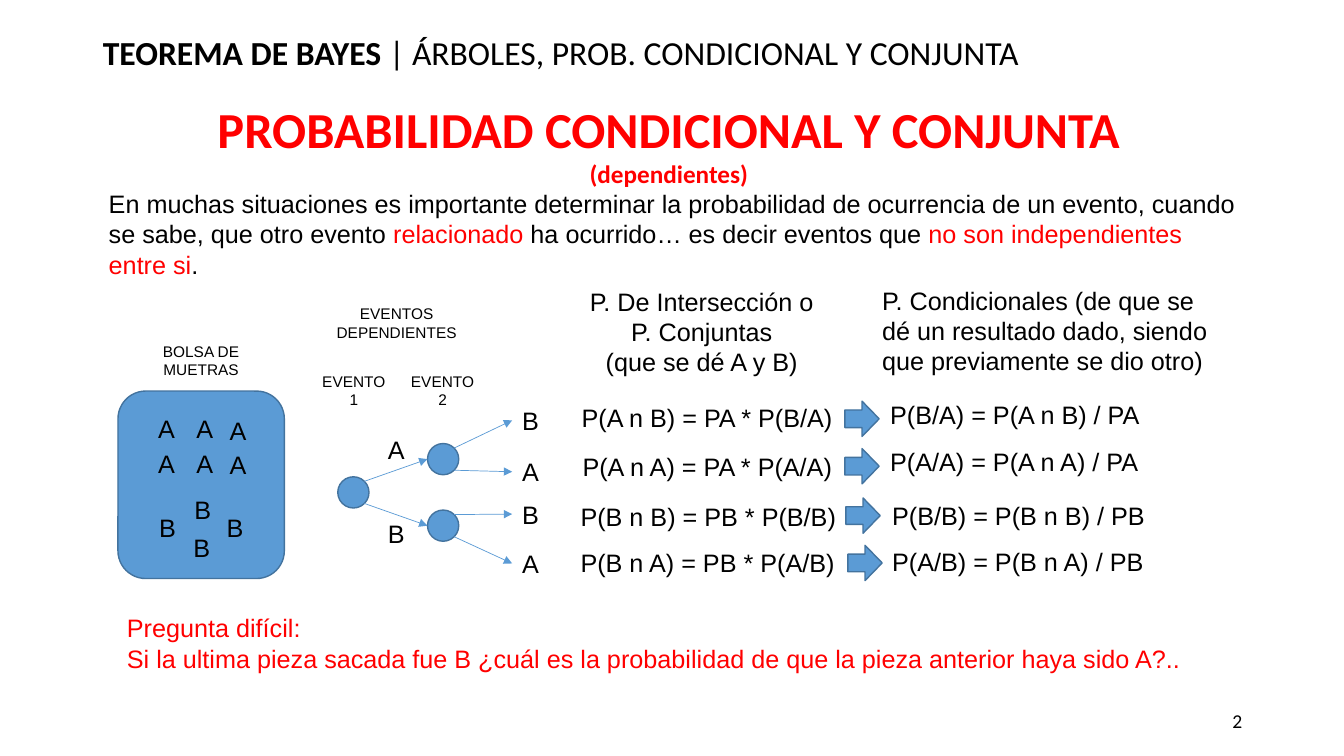
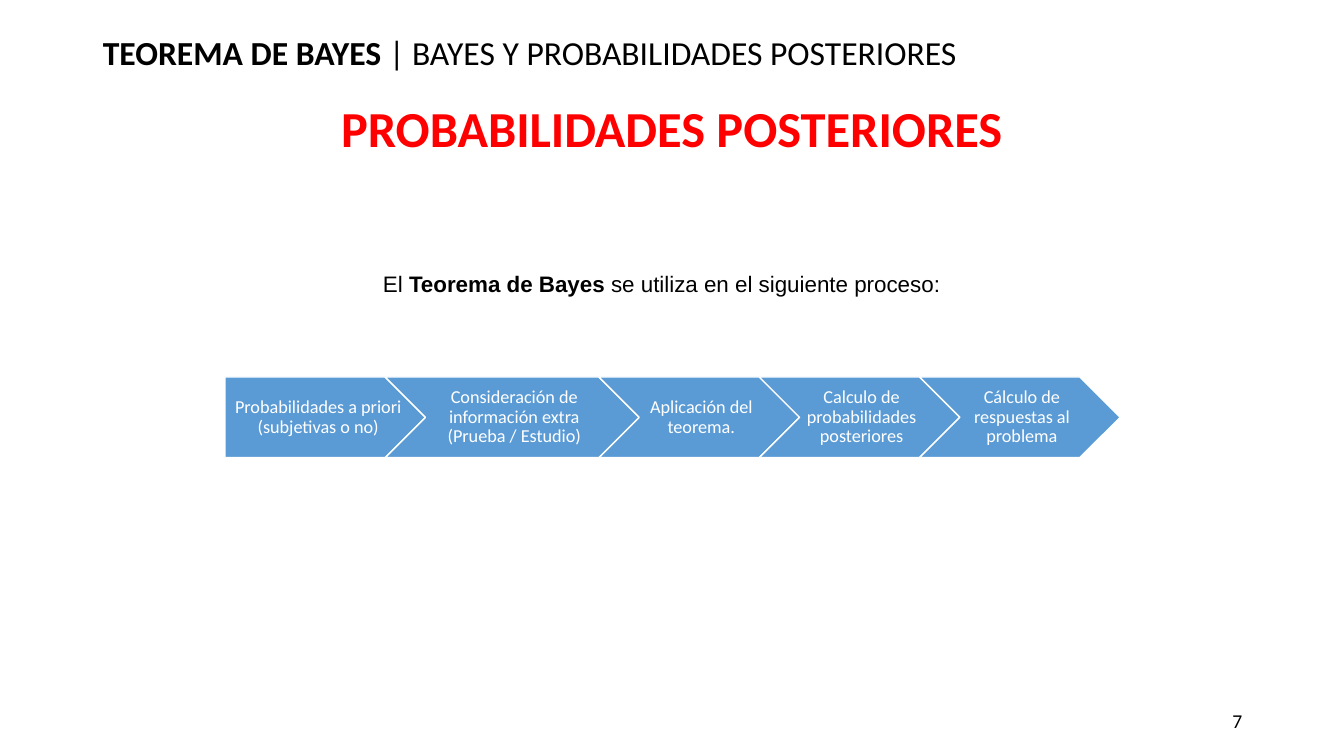
import pptx
import pptx.util
import pptx.dml.color
import pptx.enum.shapes
import pptx.enum.text
import pptx.oxml.ns
from lxml import etree

Inches, Pt = pptx.util.Inches, pptx.util.Pt
RGBColor = pptx.dml.color.RGBColor
SHAPE = pptx.enum.shapes.MSO_SHAPE
ALIGN = pptx.enum.text.PP_ALIGN
ANCHOR = pptx.enum.text.MSO_ANCHOR
qn = pptx.oxml.ns.qn

BLACK = RGBColor(0x00, 0x00, 0x00)
WHITE = RGBColor(0xFF, 0xFF, 0xFF)
RED = RGBColor(0xFF, 0x00, 0x00)
BLUE = RGBColor(0x5B, 0x9B, 0xD5)
DARK_BLUE = RGBColor(0x43, 0x73, 0x9E)

# A text is a list of paragraphs; a paragraph is a string or a list of
# spans; a span is a string or a pair (string, format changes).
COURSE = "TEOREMA DE BAYES "
DEPENDENT = {
    "topic": "| ÁRBOLES, PROB. CONDICIONAL Y CONJUNTA",
    "number": "2",
    "heading": [["PROBABILIDAD CONDICIONAL Y CONJUNTA ", ("(dependientes)", {"size": 18})]],
    "heading_at": (1.77, 0.92, 9.73, 1.04),
}
POSTERIOR = {
    "topic": "| BAYES Y PROBABILIDADES POSTERIORES",
    "number": "7",
    "heading": ["PROBABILIDADES POSTERIORES"],
    "heading_at": (1.8, 0.91, 9.73, 0.7),
}

INTRO = [[
    "En muchas situaciones es importante determinar la probabilidad de ocurrencia "
    "de un evento, cuando se sabe, que otro evento ",
    ("relacionado", {"color": RED}),
    " ha ocurrido… es decir eventos que ",
    ("no son independientes entre si", {"color": RED}),
    ".",
]]
QUESTION = [
    "Pregunta difícil:",
    "Si la ultima pieza sacada fue B ¿cuál es la probabilidad de que la pieza "
    "anterior haya sido A?..",
]
JOINT_HEADING = ["P. De Intersección o P. Conjuntas", "(que se dé A y B)"]
CONDITIONAL_HEADING = [
    "P. Condicionales (de que se dé un resultado dado, siendo que previamente se dio otro)"
]
SMALL_LABELS = [
    (["BOLSA DE MUETRAS"], (1.13, 3.34, 1.73, 0.47)),
    (["EVENTOS DEPENDIENTES"], (3.07, 2.97, 1.73, 0.47)),
    (["EVENTO", "1"], (3.09, 3.64, 0.84, 0.47)),
    (["EVENTO", "2"], (3.97, 3.64, 0.84, 0.47)),
]
BAG_LETTERS = {
    "A": [(1.47, 4.05), (1.85, 4.05), (2.18, 4.07), (1.47, 4.4), (1.85, 4.4), (2.18, 4.41)],
    "B": [(1.48, 5.03), (1.83, 4.85), (2.15, 5.03), (1.82, 5.23)],
}

# First event: letter, letter top, node top, and its two results (letter, top)
BRANCHES = [
    ("A", 4.26, 4.4, [("B", 3.97), ("A", 4.48)]),
    ("B", 5.09, 5.06, [("B", 4.9), ("A", 5.39)]),
]
# Each formula and arrow: content and (left, top)
FORMULAS = [
    ("P(A n B) = PA * P(B/A)", (5.67, 3.94), (8.38, 3.98), "P(B/A) = P(A n B) / PA", (8.73, 3.91)),
    ("P(A n A) = PA * P(A/A)", (5.68, 4.43), (8.38, 4.45), "P(A/A) = P(A n A) / PA", (8.73, 4.38)),
    ("P(B n B) = PB * P(B/B)", (5.66, 4.92), (8.39, 4.94), "P(B/B) = P(B n B) / PB", (8.75, 4.91)),
    ("P(B n A) = PB * P(A/B)", (5.66, 5.38), (8.41, 5.41), "P(A/B) = P(B n A) / PB", (8.75, 5.37)),
]
NODE_SIZE = 0.31
NODE_EDGE = 0.11  # offset from the centre of a node to where its arrows start
ROOT_AT = (3.35, 4.73)
NODE_LEFT, RESULT_LEFT = 4.24, 5.08
LETTER_WIDTH, LINE_HEIGHT = 0.37, 0.4

PROCESS_INTRO = [[
    "El ", ("Teorema de Bayes", {"bold": True}), " se utiliza en el siguiente proceso:",
]]
STEPS = [
    ("Probabilidades a priori (subjetivas o no)", 1.99),
    ("Consideración de información extra (Prueba / Estudio)", 2.52),
    ("Aplicación del teorema.", 1.99),
    ("Calculo de probabilidades posteriores", 1.99),
    ("Cálculo de respuestas al problema", 1.99),
]
STEPS_LEFT, STEPS_TOP, STEP_HEIGHT, STEP_OVERLAP = 2.23, 3.74, 0.8, 0.4


def inches(values):
    return [Inches(value) for value in values]


def write(frame, text, size=18, font="Arial", color=BLACK, bold=False,
          align=ALIGN.LEFT, anchor=ANCHOR.TOP, wrap=True, line_spacing=None):
    frame.word_wrap = wrap
    frame.auto_size = pptx.enum.text.MSO_AUTO_SIZE.NONE
    frame.vertical_anchor = anchor
    for index, content in enumerate(text):
        para = frame.add_paragraph() if index else frame.paragraphs[0]
        para.alignment = align
        if line_spacing:
            para.line_spacing = line_spacing
        for item in [content] if isinstance(content, str) else content:
            words, changes = (item, {}) if isinstance(item, str) else item
            span = para.add_run()
            span.text = words
            span.font.name = font
            span.font.size = Pt(changes.get("size", size))
            span.font.bold = changes.get("bold", bold)
            span.font.color.rgb = changes.get("color", color)


def add_text(page, text, at, **text_format):
    box = page.shapes.add_textbox(*inches(at))
    write(box.text_frame, text, **text_format)


def add_line_of_text(page, words, left, top, width=LETTER_WIDTH):
    add_text(page, [words], (left, top, width, LINE_HEIGHT), wrap=False)


def add_blue_shape(page, kind, at, outline=DARK_BLUE):
    shape = page.shapes.add_shape(kind, *inches(at))
    shape.shadow.inherit = False
    shape.fill.solid()
    shape.fill.fore_color.rgb = BLUE
    shape.line.color.rgb = outline
    shape.line.width = Pt(1)
    return shape


def add_arrow(page, start, end):
    arrow = page.shapes.add_connector(
        pptx.enum.shapes.MSO_CONNECTOR.STRAIGHT, *inches(start + end))
    arrow.line.color.rgb = BLUE
    arrow.line.width = Pt(0.5)
    properties = arrow.element.spPr
    etree.SubElement(properties.find(qn("a:ln")), qn("a:tailEnd"), type="triangle")
    etree.SubElement(properties, qn("a:effectLst"))


def add_page(deck, content):
    """Add a slide with the shared title line, red heading and number."""
    page = deck.slides.add_slide(deck.slide_layouts[5])
    title = page.shapes.title
    title.left, title.top, title.width, title.height = inches((0.92, 0.22, 11.5, 0.55))
    write(title.text_frame, [[(COURSE, {"bold": True}), content["topic"]]],
          size=24, font="Calibri", anchor=ANCHOR.BOTTOM, line_spacing=0.9)
    add_text(page, content["heading"], content["heading_at"],
             size=36, font="Calibri", color=RED, bold=True, align=ALIGN.CENTER)
    add_text(page, [content["number"]], (9.42, 6.95, 3, 0.4),
             size=14, font="Calibri", align=ALIGN.RIGHT, anchor=ANCHOR.MIDDLE)
    return page


def add_bag(page):
    add_blue_shape(page, SHAPE.ROUNDED_RECTANGLE, (1.17, 3.88, 1.65, 1.86))
    for letter, places in BAG_LETTERS.items():
        for left, top in places:
            add_line_of_text(page, letter, left, top)


def add_node(page, left, top):
    """Draw a tree node and return its centre."""
    add_blue_shape(page, SHAPE.OVAL, (left, top, NODE_SIZE, NODE_SIZE))
    return left + NODE_SIZE / 2, top + NODE_SIZE / 2


def add_tree(page):
    root_x, root_y = add_node(page, *ROOT_AT)
    sides = (-NODE_EDGE, NODE_EDGE)
    for (letter, letter_top, node_top, results), side in zip(BRANCHES, sides):
        node_x, node_y = add_node(page, NODE_LEFT, node_top)
        add_line_of_text(page, letter, 3.75, letter_top)
        add_arrow(page, (root_x + NODE_EDGE, root_y + side), (NODE_LEFT, node_y))
        for (result, top), result_side in zip(results, sides):
            add_line_of_text(page, result, RESULT_LEFT, top)
            add_arrow(page, (node_x + NODE_EDGE, node_y + result_side),
                      (RESULT_LEFT, top + LINE_HEIGHT / 2))


def add_formulas(page):
    add_text(page, JOINT_HEADING, (5.66, 2.79, 2.6, 1.01), align=ALIGN.CENTER)
    add_text(page, CONDITIONAL_HEADING, (8.65, 2.78, 3.45, 1.01))
    for joint, joint_at, arrow_at, conditional, conditional_at in FORMULAS:
        add_line_of_text(page, joint, *joint_at, width=2.73)
        add_blue_shape(page, SHAPE.RIGHT_ARROW, (*arrow_at, 0.34, 0.35))
        add_line_of_text(page, conditional, *conditional_at, width=2.71)


def add_process(page):
    left = STEPS_LEFT
    for index, (words, width) in enumerate(STEPS):
        kind = SHAPE.CHEVRON if index else SHAPE.PENTAGON
        step = add_blue_shape(page, kind, (left, STEPS_TOP, width, STEP_HEIGHT), outline=WHITE)
        frame = step.text_frame
        frame.margin_left = Inches(0.06 if index else 0.08)
        frame.margin_right = Inches(0.02)
        frame.margin_top = frame.margin_bottom = Inches(0.04)
        write(frame, [words], size=13, font="Calibri", color=WHITE,
              align=ALIGN.CENTER, anchor=ANCHOR.MIDDLE, line_spacing=0.9)
        left += width - STEP_OVERLAP


def main():
    deck = pptx.Presentation()
    deck.slide_width, deck.slide_height = inches((13.33, 7.5))

    page = add_page(deck, DEPENDENT)
    add_text(page, INTRO, (0.98, 1.82, 11.38, 1.01))
    for label, at in SMALL_LABELS:
        add_text(page, label, at, size=11, align=ALIGN.CENTER)
    add_bag(page)
    add_tree(page)
    add_formulas(page)
    add_text(page, QUESTION, (1.16, 6.03, 10.79, 0.71), color=RED)

    page = add_page(deck, POSTERIOR)
    add_text(page, PROCESS_INTRO, (3.7, 2.63, 5.93, 0.37), size=16)
    add_process(page)

    deck.save("out.pptx")


if __name__ == "__main__":
    main()
